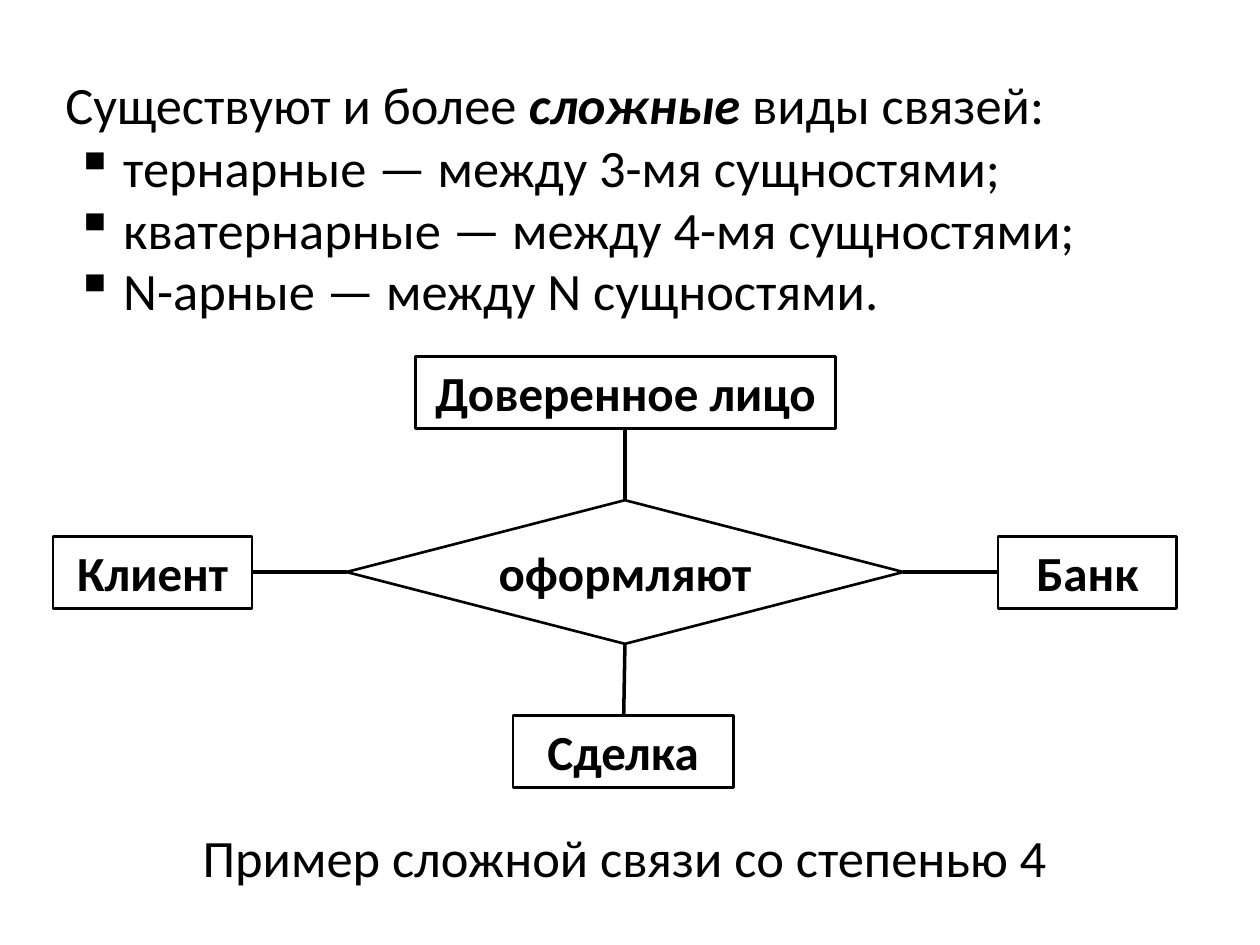
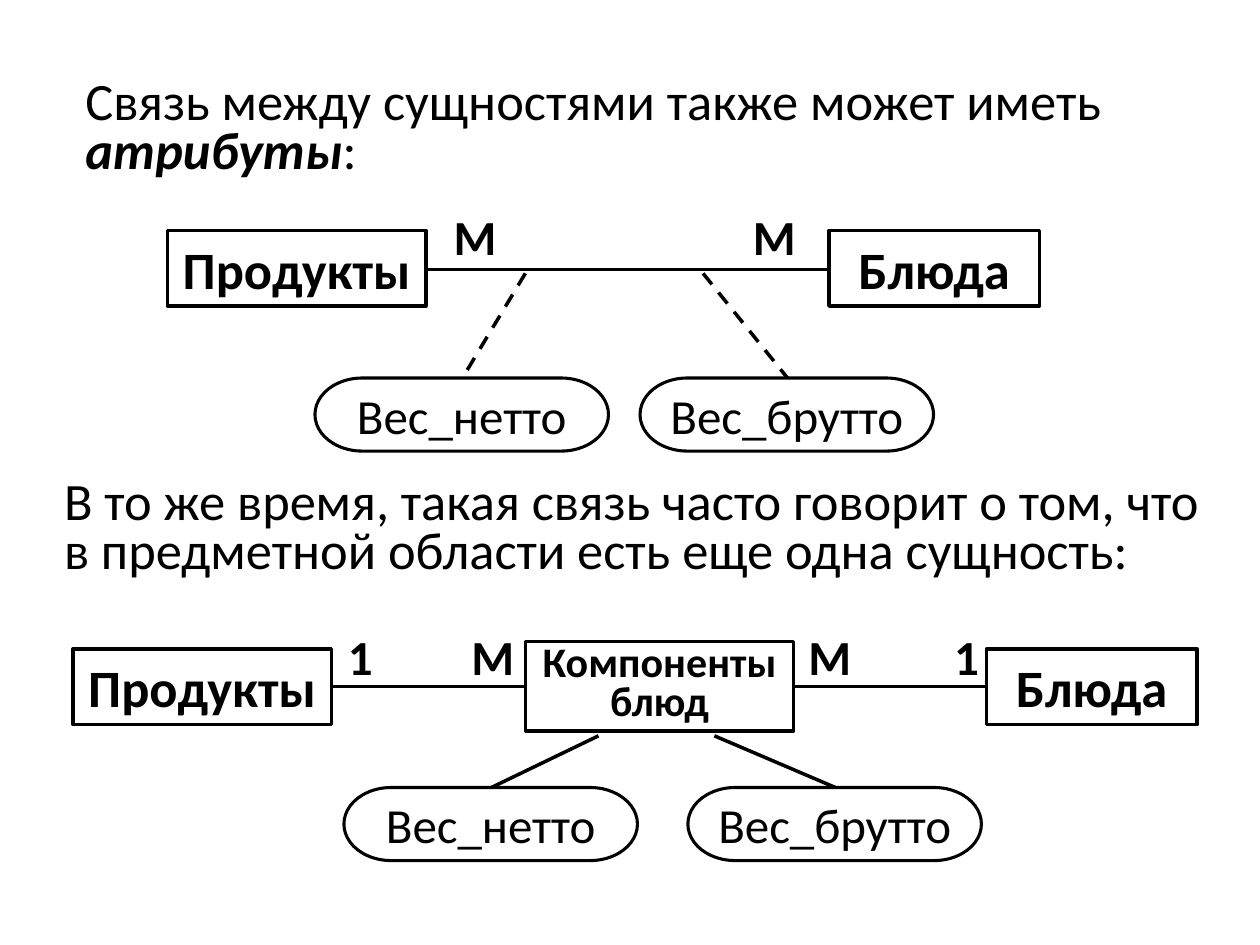
from dataclasses import dataclass

from lxml import etree
from pptx import Presentation
from pptx.dml.color import RGBColor
from pptx.enum import dml, shapes, text
from pptx.oxml.ns import qn
from pptx.util import Inches, Pt


@dataclass(frozen=True)
class Theme:
    font: str = "Calibri"
    ink: RGBColor = RGBColor(0, 0, 0)
    body: int = 30
    diagram: int = 28
    small: int = 24
    thin: float = 1.5
    medium: float = 1.75
    thick: float = 2


THEME = Theme()
SHAPE = shapes.MSO_SHAPE
CENTER = text.PP_ALIGN.CENTER
TOP, MIDDLE = text.MSO_ANCHOR.TOP, text.MSO_ANCHOR.MIDDLE
BULLET_INDENT = Inches(0.38)


# Text
def style_run(r, size, bold=False, italic=False):
    r.font.name = THEME.font
    r.font.size = Pt(size)
    r.font.color.rgb = THEME.ink
    r.font.bold = bold
    r.font.italic = italic


def fill_text(sp, content, size, bold=False, spacing=None, anchor=TOP):
    """Put centred text into a shape or label."""
    tf = sp.text_frame
    tf.word_wrap = True
    tf.vertical_anchor = anchor
    tf.text = content
    p = tf.paragraphs[0]
    p.alignment = CENTER
    if spacing:
        p.line_spacing = Pt(spacing)
    style_run(p.runs[0], size, bold)


def add_box(slide, box):
    return slide.shapes.add_textbox(*map(Inches, box))


def add_statement(slide, box, parts, spacing, before=0):
    """Body paragraph; every second part is emphasised in bold italic."""
    tf = add_box(slide, box).text_frame
    tf.word_wrap = True
    p = tf.paragraphs[0]
    p.line_spacing, p.space_before = Pt(spacing), Pt(before)
    for i, part in enumerate(parts):
        r = p.add_run()
        r.text = part
        style_run(r, THEME.body, bold=i % 2 == 1, italic=i % 2 == 1)


def add_bullets(slide, box, items):
    tf = add_box(slide, box).text_frame
    tf.word_wrap = True
    tf.text = "\n".join(items)
    for p in tf.paragraphs:
        p.line_spacing, p.space_before = Pt(32), Pt(3)
        style_run(p.runs[0], THEME.body)
        pPr = p._p.get_or_add_pPr()
        pPr.set("marL", str(BULLET_INDENT))
        pPr.set("indent", str(-BULLET_INDENT))
        etree.SubElement(pPr, qn("a:buChar")).set("char", "▪")


def add_label(slide, box, content, size=THEME.diagram, bold=True):
    fill_text(add_box(slide, box), content, size, bold)


# Diagram parts
def add_outline(slide, kind, box, width):
    sp = slide.shapes.add_shape(kind, *map(Inches, box))
    sp.shadow.inherit = False
    sp.fill.background()
    sp.line.color.rgb = THEME.ink
    sp.line.width = Pt(width)
    return sp


def add_entity(slide, box, name, size=THEME.body, width=THEME.thick, spacing=None):
    sp = add_outline(slide, SHAPE.RECTANGLE, box, width)
    fill_text(sp, name, size, True, spacing)


def add_relation(slide, box, name):
    sp = add_outline(slide, SHAPE.DIAMOND, box, THEME.thin)
    fill_text(sp, name, THEME.diagram, True, anchor=MIDDLE)
    sp.text_frame.word_wrap = False


def add_attribute(slide, left, top, name):
    sp = add_outline(slide, SHAPE.FLOWCHART_TERMINATOR, (left, top, 2.33, 0.58), THEME.medium)
    fill_text(sp, name, THEME.diagram, anchor=MIDDLE)


def add_link(slide, start, end, width=THEME.thick, dashed=False):
    line = slide.shapes.add_connector(
        shapes.MSO_CONNECTOR.STRAIGHT, *map(Inches, start + end))
    line.line.color.rgb = THEME.ink
    line.line.width = Pt(width)
    if dashed:
        line.line.dash_style = dml.MSO_LINE.DASH
    etree.SubElement(line._element.spPr, qn("a:effectLst"))


def add_product_and_dish(slide, product_left, dish_left, top):
    add_entity(slide, (product_left, top, 2.05, 0.6), "Продукты")
    add_entity(slide, (dish_left, top, 1.67, 0.6), "Блюда")


def add_weights(slide, top, lefts, links, dashed=False):
    """Net and gross weight attributes with the links that reach them."""
    for left, name in zip(lefts, ("Вес_нетто", "Вес_брутто")):
        add_attribute(slide, left, top, name)
    for start, end_x in links:
        add_link(slide, start, (end_x, top), dashed=dashed)


# Slides
def build_complex_relations(slide):
    add_statement(slide, (0.42, 0.58, 8.25, 0.58),
                  ("Существуют и более ", "сложные ", "виды связей:"), 32, 3)
    add_bullets(slide, (0.5, 1.08, 8.83, 1.58), (
        "тернарные — между 3-мя сущностями;",
        "кватернарные — между 4-мя сущностями;",
        "N-арные — между N сущностями.",
    ))

    # Four entities around one relation
    for left, top, width, name in (
        (3.3, 2.83, 3.33, "Доверенное лицо"),
        (4.07, 5.68, 1.75, "Сделка"),
        (0.42, 4.26, 1.58, "Клиент"),
        (7.92, 4.26, 1.42, "Банк"),
    ):
        add_entity(slide, (left, top, width, 0.57), name, THEME.diagram, THEME.thin)
    add_relation(slide, (2.75, 3.97, 4.42, 1.14), "оформляют")
    for start, end in (
        ((2, 4.54), (2.75, 4.54)),
        ((7.17, 4.54), (7.92, 4.54)),
        ((4.96, 3.41), (4.96, 3.97)),
        ((4.96, 5.11), (4.95, 5.68)),
    ):
        add_link(slide, start, end)
    add_label(slide, (1.25, 6.5, 7.42, 0.6), "Пример сложной связи со степенью 4",
              THEME.body, bold=False)


def build_relation_attributes(slide):
    add_statement(slide, (0.58, 0.6, 8.75, 0.88),
                  ("Связь между сущностями также может иметь ", "атрибуты", ":"), 28)

    # Relation that carries the attributes
    add_product_and_dish(slide, 1.33, 6.58, 1.83)
    add_label(slide, (3.46, 1.59, 0.62, 0.57), "М")
    add_label(slide, (5.73, 1.59, 0.83, 0.57), "M")
    add_link(slide, (3.38, 2.14), (6.58, 2.14), THEME.medium)
    add_weights(slide, 3, (2.5, 5.08),
                (((4.17, 2.17), 3.67), ((5.58, 2.17), 6.25)), dashed=True)

    add_statement(slide, (0.41, 3.78, 9.25, 1.27), (
        "В то же время, такая связь часто говорит о том, что "
        "в предметной области есть еще одна сущность:",), 28)

    # Separate entity that carries the attributes
    add_product_and_dish(slide, 0.58, 7.83, 5.15)
    add_entity(slide, (4.17, 5.09, 2.13, 0.71), "Компоненты блюд",
               THEME.small, spacing=22)
    for left, width, mark in ((2.55, 0.62, "1"), (3.6, 0.62, "М"),
                              (6.17, 0.83, "M"), (7.36, 0.62, "1")):
        add_label(slide, (left, 4.92, width, 0.57), mark)
    add_weights(slide, 6.25, (2.73, 5.46),
                (((4.75, 5.84), 3.9), ((5.67, 5.84), 6.63)))
    for start_x, end_x in ((2.63, 4.17), (6.3, 7.83)):
        add_link(slide, (start_x, 5.45), (end_x, 5.45))


def main():
    prs = Presentation()
    prs.slide_width, prs.slide_height = Inches(10), Inches(7.5)
    for build in (build_complex_relations, build_relation_attributes):
        build(prs.slides.add_slide(prs.slide_layouts[6]))
    prs.save("out.pptx")


if __name__ == "__main__":
    main()
